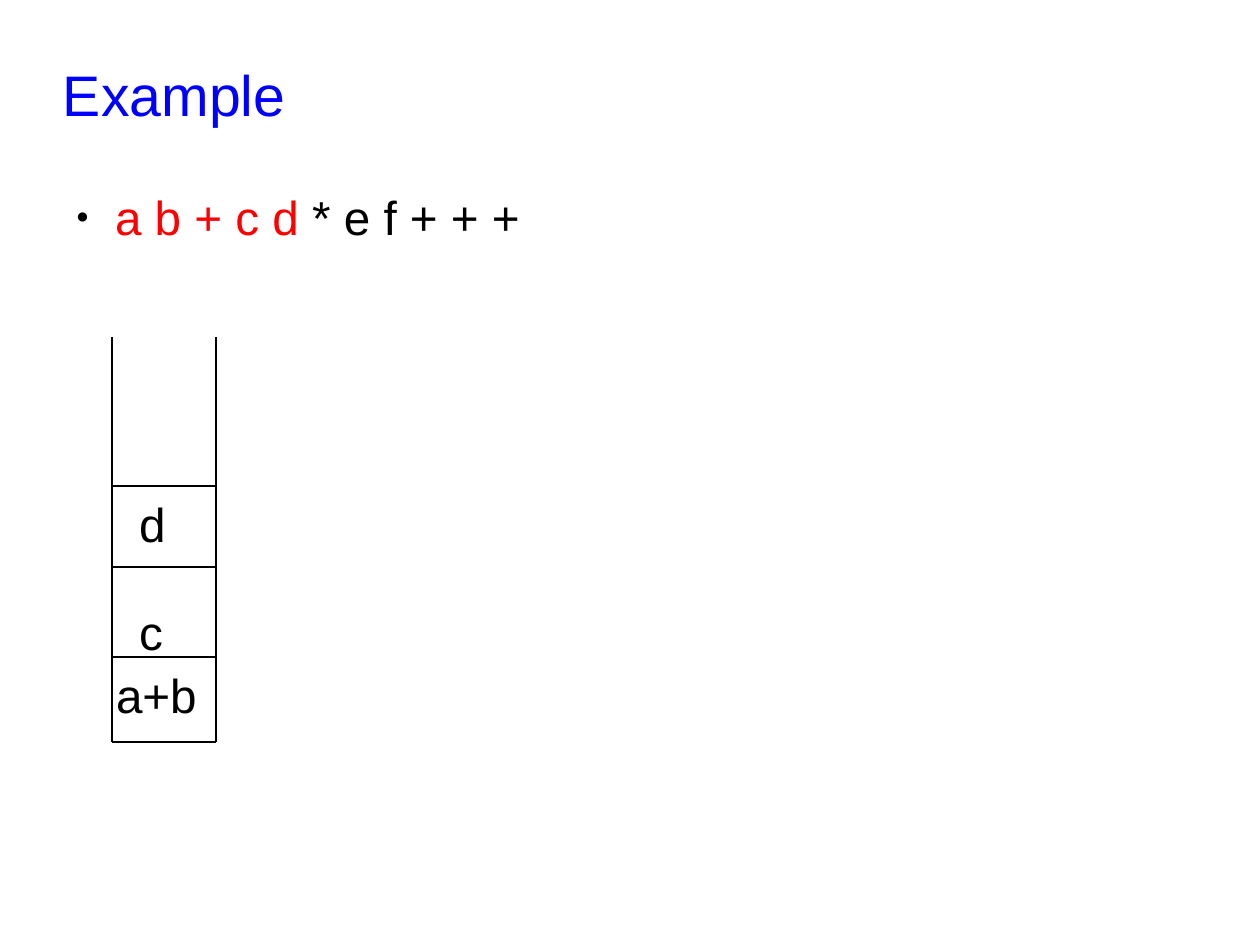
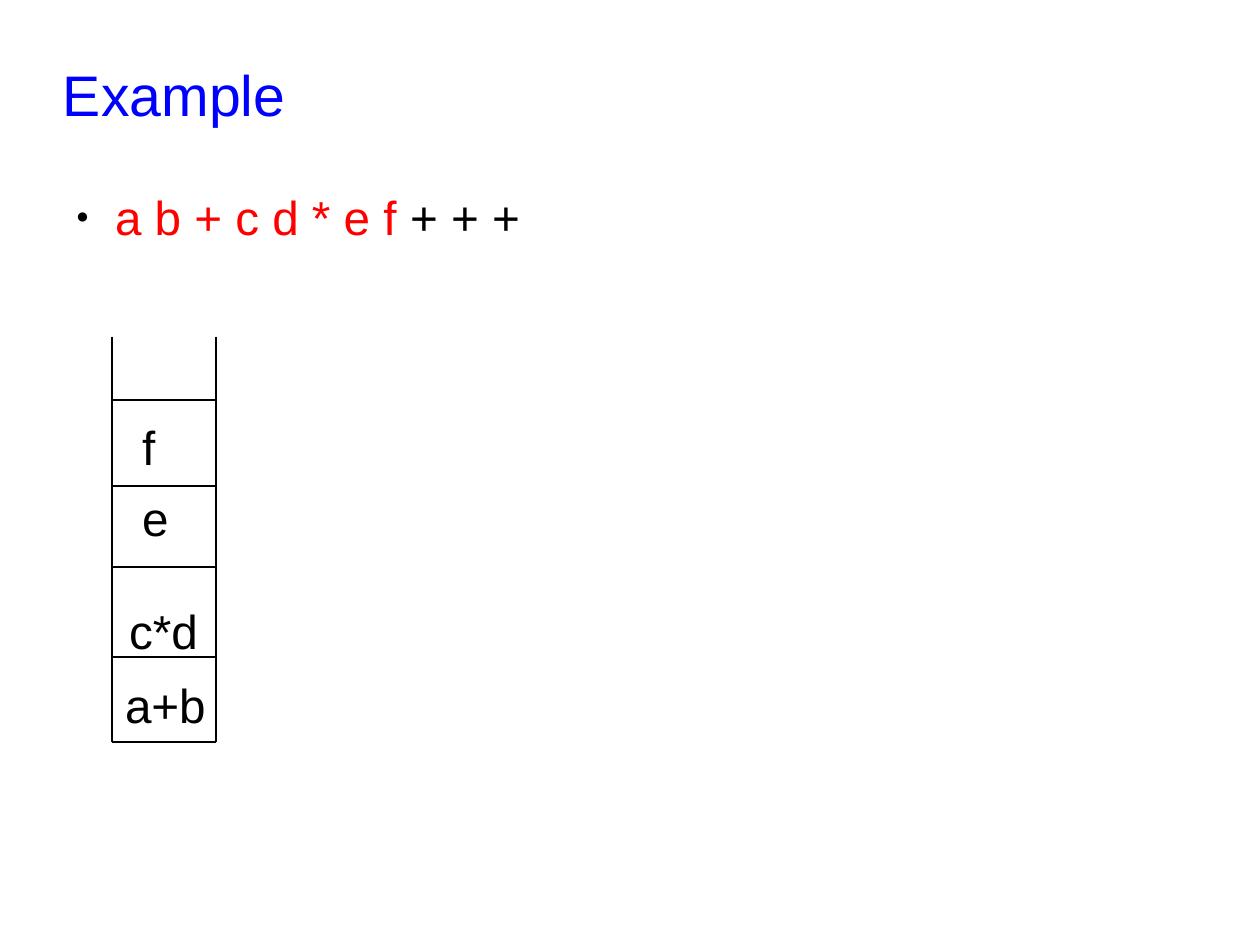
from lxml import etree
from pptx import Presentation
from pptx.dml.color import RGBColor
from pptx.enum.shapes import MSO_CONNECTOR
from pptx.enum.text import MSO_ANCHOR, MSO_AUTO_SIZE, PP_ALIGN
from pptx.oxml.ns import qn
from pptx.util import Emu, Pt

STRAIGHT = MSO_CONNECTOR.STRAIGHT
LEFT = PP_ALIGN.LEFT
TOP, MIDDLE = MSO_ANCHOR.TOP, MSO_ANCHOR.MIDDLE
NO_AUTOFIT = MSO_AUTO_SIZE.NONE

BLUE = RGBColor(0x00, 0x00, 0xFF)
RED = RGBColor(0xFF, 0x00, 0x00)
BLACK = RGBColor(0x00, 0x00, 0x00)
FONT = "Arial"

EMU_PER_PX = 8000
SLIDE_SIZE = (1260, 945)  # 28 by 21 cm
TITLE_BOX = (63, 43, 1133, 85)
BODY_BOX = (63, 157, 1133, 674)

STACK_LEFT, STACK_RIGHT = 112, 216
STACK_TOP, STACK_BOTTOM = 337, 742
CELL_TOPS = (657, 567, 486, 400)  # from the bottom cell upwards
LABEL_SIZE = (103, 71)

# Read part, remaining part, and stack labels (text, left, top) bottom first
STEPS = [
    ("a b + c d", " * e f + + +",
     [("a+b", 116, 635), ("c", 139, 572), ("d", 139, 464)]),
    ("a b + c d * e f", " + + +",
     [("a+b", 125, 645), ("c*d", 129, 571), ("e", 142, 458), ("f", 142, 387)]),
]


def px(length):
    return Emu(length * EMU_PER_PX)


def place(box, bounds):
    box.left, box.top, box.width, box.height = map(px, bounds)


def write(box, spans, size=30, spacing=1.54, after=5.8, anchor=TOP):
    """Fill a box with one paragraph of (text, colour) spans."""
    frame = box.text_frame
    frame.word_wrap = True
    frame.auto_size = NO_AUTOFIT
    frame.vertical_anchor = anchor
    frame.margin_left = frame.margin_top = 0
    frame.margin_right = frame.margin_bottom = 0
    para = frame.paragraphs[0]
    para.alignment = LEFT
    para.line_spacing = spacing
    para.space_before = Pt(0)
    para.space_after = Pt(after)
    for text, color in spans:
        span = para.add_run()
        span.text = text
        span.font.name = FONT
        span.font.size = Pt(size)
        span.font.color.rgb = color
    return para


def add_bullet(para, indent=52, hanging=39):
    properties = para._p.get_or_add_pPr()
    properties.set("marL", str(px(indent)))
    properties.set("indent", str(px(-hanging)))
    bullet_color = etree.SubElement(properties, qn("a:buClr"))
    etree.SubElement(bullet_color, qn("a:srgbClr"), val=str(BLACK))
    etree.SubElement(properties, qn("a:buSzPct"), val="45000")
    etree.SubElement(properties, qn("a:buFont"), typeface=FONT)
    etree.SubElement(properties, qn("a:buChar"), char="●")


def add_line(shapes, x1, y1, x2, y2):
    line = shapes.add_connector(STRAIGHT, px(x1), px(y1), px(x2), px(y2))
    line.line.color.rgb = BLACK
    line.line.width = Pt(0.75)
    etree.SubElement(line._element.spPr, qn("a:effectLst"))


def add_stack(slide, labels):
    """Draw an open-topped stack with one cell for each label."""
    shapes = slide.shapes.add_group_shape().shapes
    for x in (STACK_LEFT, STACK_RIGHT):
        add_line(shapes, x, STACK_TOP, x, STACK_BOTTOM)
    for y in (STACK_BOTTOM, *CELL_TOPS[:len(labels)]):
        add_line(shapes, STACK_LEFT, y, STACK_RIGHT, y)
    for text, left, top in labels:
        box = shapes.add_textbox(*map(px, (left, top, *LABEL_SIZE)))
        write(box, [(text, BLACK)])


def add_step(deck, read, remaining, labels):
    slide = deck.slides.add_slide(deck.slide_layouts[1])
    title, body = slide.shapes.title, slide.placeholders[1]
    place(title, TITLE_BOX)
    write(title, [("Example", BLUE)], size=36, spacing=1.24, after=0,
          anchor=MIDDLE)
    place(body, BODY_BOX)
    add_bullet(write(body, [(read, RED), (remaining, BLACK)]))
    add_stack(slide, labels)


def main():
    deck = Presentation()
    deck.slide_width, deck.slide_height = map(px, SLIDE_SIZE)
    for step in STEPS:
        add_step(deck, *step)
    deck.save("out.pptx")


if __name__ == "__main__":
    main()
